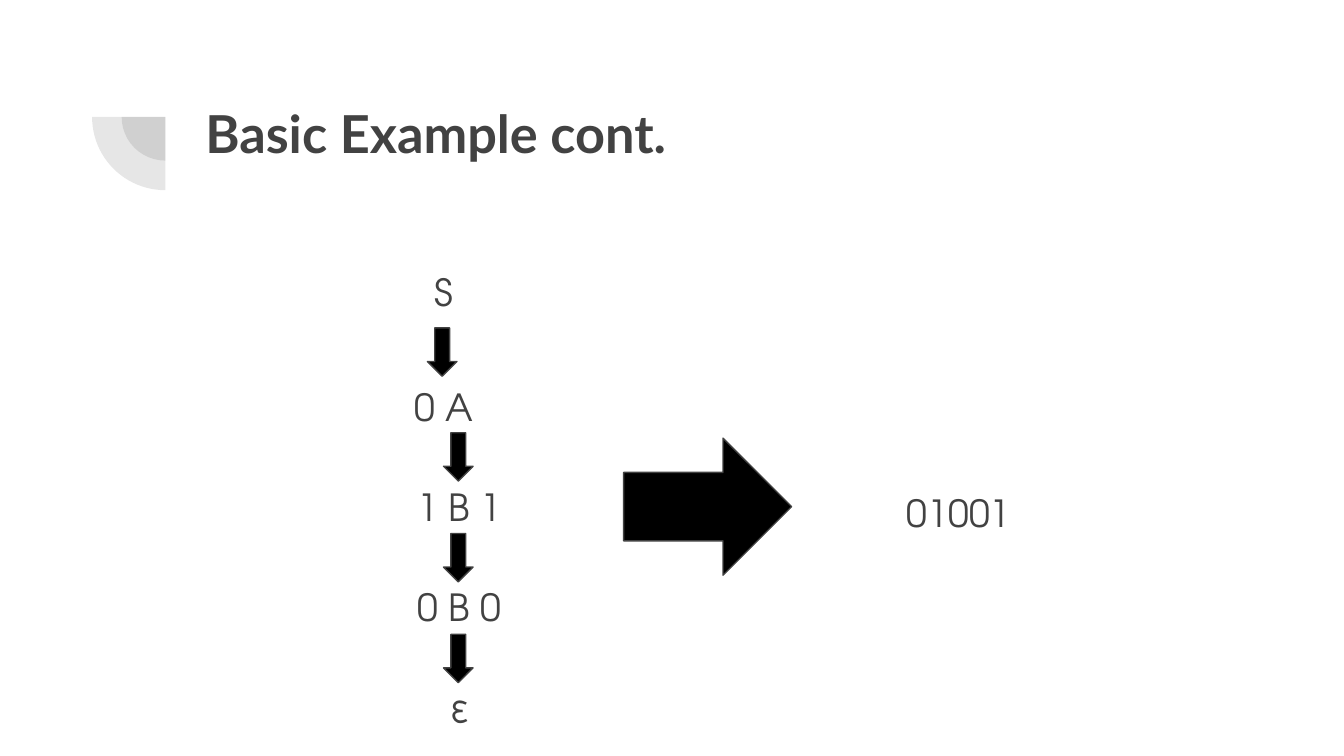
from lxml.etree import SubElement
from pptx import Presentation
from pptx.dml.color import RGBColor
from pptx.enum.shapes import MSO_SHAPE
from pptx.enum.text import PP_ALIGN
from pptx.oxml.ns import qn
from pptx.util import Inches, Pt

GREY = RGBColor(0x42, 0x42, 0x42)
BLACK = RGBColor(0x00, 0x00, 0x00)
HEADING_FONT = "Lato"
SYMBOL_FONT = "TeX Gyre Adventor"


def add_text(slide, box, text, font=SYMBOL_FONT, size=20, bold=False, align=PP_ALIGN.LEFT):
    """Place one line of text in a box of left, top, width, height."""
    frame = slide.shapes.add_textbox(*map(Inches, box)).text_frame
    frame.word_wrap = True
    frame.margin_left = frame.margin_right = Inches(0.1)
    frame.margin_top = frame.margin_bottom = Inches(0.1)
    line = frame.paragraphs[0]
    line.alignment = align
    run = line.add_run()
    run.text = text
    run.font.name = font
    run.font.size = Pt(size)
    run.font.bold = bold
    run.font.color.rgb = GREY


def add_arrow(slide, box, rotation=0):
    """Draw a black block arrow with a thin grey outline."""
    arrow = slide.shapes.add_shape(MSO_SHAPE.RIGHT_ARROW, *map(Inches, box))
    arrow.rotation = rotation
    arrow.shadow.inherit = False
    arrow.fill.solid()
    arrow.fill.fore_color.rgb = BLACK
    arrow.line.color.rgb = GREY
    arrow.line.width = Pt(0.75)


def add_quarter(slide, center_x, center_y, diameter):
    """Draw a translucent lower-left quarter disc."""
    left, top = center_x - diameter / 2, center_y - diameter / 2
    quarter = slide.shapes.add_shape(
        MSO_SHAPE.PIE, Inches(left), Inches(top), Inches(diameter), Inches(diameter))
    quarter.adjustments[0] = 107.93
    quarter.adjustments[1] = 162
    quarter.rotation = 270
    quarter.shadow.inherit = False
    quarter.fill.solid()
    quarter.fill.fore_color.rgb = GREY
    quarter.line.fill.background()
    tint = next(quarter.element.spPr.iter(qn("a:srgbClr")))
    SubElement(tint, qn("a:alpha")).set("val", "13000")


def add_heading(slide, left, top, width, height):
    """Place the quarter-disc ornament and the title beside it."""
    for diameter in (0.65, 1.09):
        add_quarter(slide, left + 0.55, top + 0.54, diameter)
    add_text(slide, (left + 0.75, top + 0.32, width - 0.75, height - 0.32),
             "Basic Example cont.", HEADING_FONT, 28, True)


def add_derivation(slide, left, top, width):
    """Stack the derivation steps with a down arrow above each later one."""
    axis = left + width / 2 - 0.01
    length, thickness = 0.36, 0.22
    steps = [("S", -0.12, 0, None), ("0 A", -0.12, 0.86, 0.72)]
    steps += [(symbols, 0, 1.6 + 0.75 * row, 1.5 + 0.75 * row)
              for row, symbols in enumerate(("1 B 1", "0 B 0", "ε"))]
    for symbols, shift, offset, arrow_center in steps:
        add_text(slide, (left + shift, top + offset, width, 0.54), symbols,
                 align=PP_ALIGN.CENTER)
        if arrow_center is not None:
            add_arrow(slide, (axis + shift - length / 2, top + arrow_center - thickness / 2,
                              length, thickness), 90)


def add_result(slide, left, top, height):
    """Place the large arrow and the derived string to its right."""
    add_arrow(slide, (left, top, 1.25, height))
    add_text(slide, (left + 2.01, top + 0.29, 2.46, 0.45), "01001")


def main():
    """Build and save the slide."""
    deck = Presentation()
    deck.slide_width = Inches(10)
    deck.slide_height = deck.slide_width * 9 // 16
    slide = deck.slides.add_slide(deck.slide_layouts[6])
    add_heading(slide, 0.68, 0.33, 8.44, 1.41)
    add_derivation(slide, 1.37, 1.9, 4.1)
    add_result(slide, 4.64, 3.26, 1.02)
    deck.save("out.pptx")


if __name__ == "__main__":
    main()
